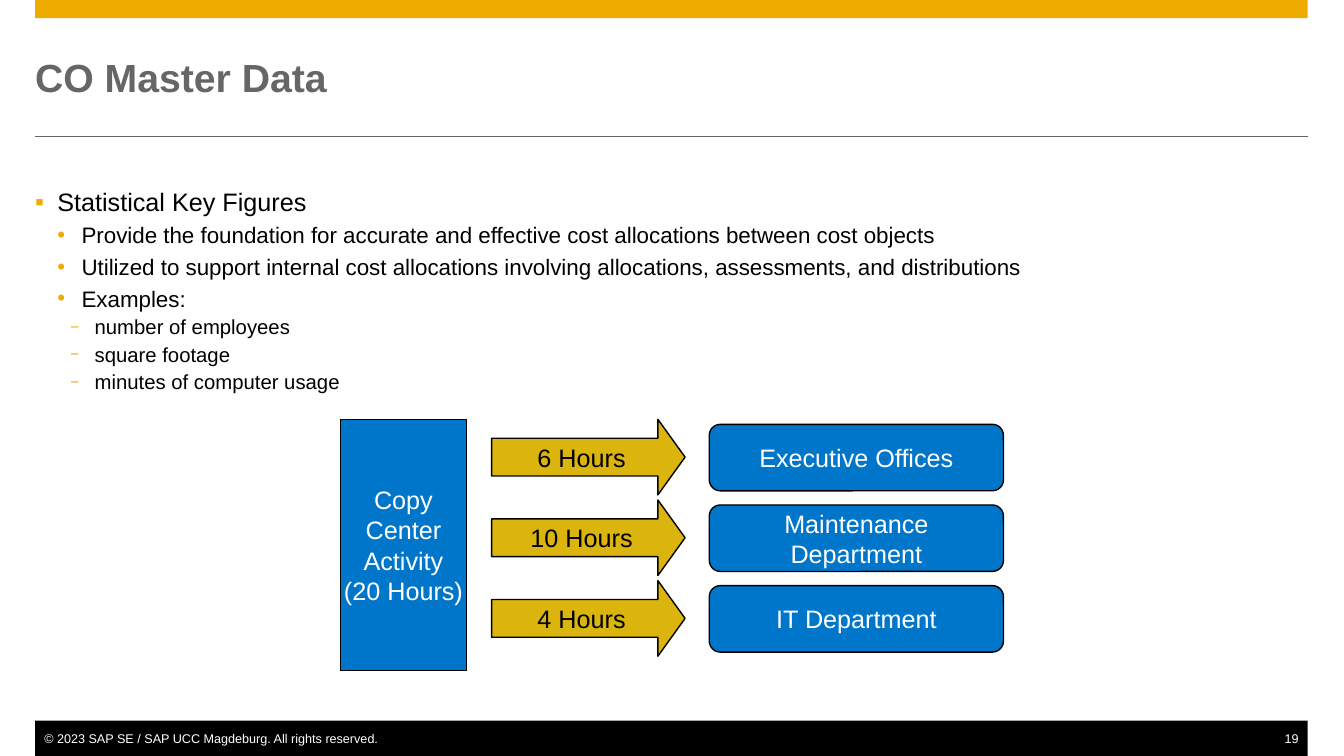
from pptx import Presentation
from pptx.dml.color import RGBColor
from pptx.enum.shapes import MSO_CONNECTOR, MSO_SHAPE
from pptx.enum.text import MSO_ANCHOR, PP_ALIGN
from pptx.oxml import parse_xml
from pptx.oxml.ns import nsdecls, qn
from pptx.util import Inches, Pt
from lxml.etree import SubElement

GOLD = RGBColor(0xF0, 0xAB, 0x00)
AMBER = RGBColor(0xDB, 0xB4, 0x0D)
BLUE = RGBColor(0x00, 0x76, 0xCB)
GRAY = RGBColor(0x66, 0x66, 0x66)
BLACK = RGBColor(0, 0, 0)
WHITE = RGBColor(0xFF, 0xFF, 0xFF)
LEFT, WIDTH = 0.35, 12.63

deck = Presentation()
deck.slide_width, deck.slide_height = Inches(13.34), Inches(7.5)
slide = deck.slides.add_slide(deck.slide_layouts[6])


def add_block(kind, x, y, w, h, fill, text="", color=WHITE):
    """Add a filled shape; labelled ones get a black outline and centred text."""
    block = slide.shapes.add_shape(kind, Inches(x), Inches(y), Inches(w), Inches(h))
    block.shadow.inherit = False
    block.fill.solid()
    block.fill.fore_color.rgb = fill
    if not text:
        block.line.fill.background()
        return block
    block.line.color.rgb = BLACK
    block.line.width = Pt(1)
    frame = block.text_frame
    frame.text = text
    frame.word_wrap = False
    frame.vertical_anchor = MSO_ANCHOR.MIDDLE
    for para in frame.paragraphs:
        para.alignment = PP_ALIGN.CENTER
        para.font.name, para.font.size = "Arial", Pt(18)
        para.font.color.rgb = color
    return block


def add_text(x, y, w, h, text, size, color, wrap=True):
    box = slide.shapes.add_textbox(Inches(x), Inches(y), Inches(w), Inches(h))
    frame = box.text_frame
    frame.margin_left = frame.margin_right = 0
    frame.margin_top = frame.margin_bottom = 0
    frame.word_wrap = wrap
    frame.text = text
    for run in (r for p in frame.paragraphs for r in p.runs):
        run.font.name, run.font.size = "Arial", Pt(size)
        run.font.color.rgb = color
    return frame


# Bars and rule
add_block(MSO_SHAPE.RECTANGLE, LEFT, 0, WIDTH, 0.18, GOLD)
add_block(MSO_SHAPE.RECTANGLE, LEFT, 7.15, WIDTH, 0.35, BLACK)
rule = slide.shapes.add_connector(
    MSO_CONNECTOR.STRAIGHT, Inches(LEFT), Inches(1.35), Inches(LEFT + WIDTH), Inches(1.35))
rule.line.color.rgb = GRAY
rule.line.width = Pt(0.5)
SubElement(rule._element.spPr, qn("a:effectLst"))

# Footer
add_text(0.44, 7.25, 3.36, 0.15,
         "© 2023 SAP SE / SAP UCC Magdeburg. All rights reserved.", 9, WHITE, False)
number = add_text(12.64, 7.25, 0.25, 0.15, "19", 9, WHITE)
number.paragraphs[0].alignment = PP_ALIGN.RIGHT

# Title
title = add_text(LEFT, 0.35, WIDTH, 0.83, "CO Master Data", 28, GRAY)
title.vertical_anchor = MSO_ANCHOR.MIDDLE
title.paragraphs[0].runs[0].font.bold = True

# Bullets: size, space before, margin, hang, bullet scale, mark
LEVELS = [
    (18, 0, 0.22, 0.22, 100, "▪"),
    (16, 3.4, 0.46, 0.24, 100, "•"),
    (14.5, 2.2, 0.59, 0.24, 75, "−"),
]
points = [
    (0, "Statistical Key Figures"),
    (1, "Provide the foundation for accurate and effective cost allocations between cost objects"),
    (1, "Utilized to support internal cost allocations involving allocations, assessments, "
        "and distributions"),
    (1, "Examples:"),
    (2, "number of employees"),
    (2, "square footage"),
    (2, "minutes of computer usage"),
]
body = add_text(LEFT, 1.85, WIDTH, 2.2, "\n".join(t for _, t in points), 18, BLACK)
for para, (level, _) in zip(body.paragraphs, points):
    size, before, margin, hang, scale, mark = LEVELS[level]
    para.level = level
    para.space_before = Pt(before)
    props = para._p.get_or_add_pPr()
    props.set("marL", str(Inches(margin)))
    props.set("indent", str(-Inches(hang)))
    for tag in (f'<a:buClr {nsdecls("a")}><a:srgbClr val="{GOLD}"/></a:buClr>',
                f'<a:buSzPct {nsdecls("a")} val="{scale * 1000}"/>',
                f'<a:buFont {nsdecls("a")} typeface="Arial"/>',
                f'<a:buChar {nsdecls("a")} char="{mark}"/>'):
        props.append(parse_xml(tag))
    para.runs[0].font.size = Pt(size)

# Allocation diagram
add_block(MSO_SHAPE.RECTANGLE, 3.38, 4.16, 1.25, 2.49, BLUE,
          "Copy\nCenter\nActivity\n(20 Hours)")
shares = [
    ("6 Hours", "Executive Offices"),
    ("10 Hours", "Maintenance\nDepartment"),
    ("4 Hours", "IT Department"),
]
for row, (hours, unit) in enumerate(shares):
    top = 4.16 + 0.8 * row
    arrow = add_block(MSO_SHAPE.RIGHT_ARROW, 4.88, top, 1.92, 0.75, AMBER, hours, BLACK)
    arrow.adjustments[1] = 0.36
    add_block(MSO_SHAPE.ROUNDED_RECTANGLE, 7.04, top + 0.05, 2.92, 0.66, BLUE, unit)

deck.save("out.pptx")
